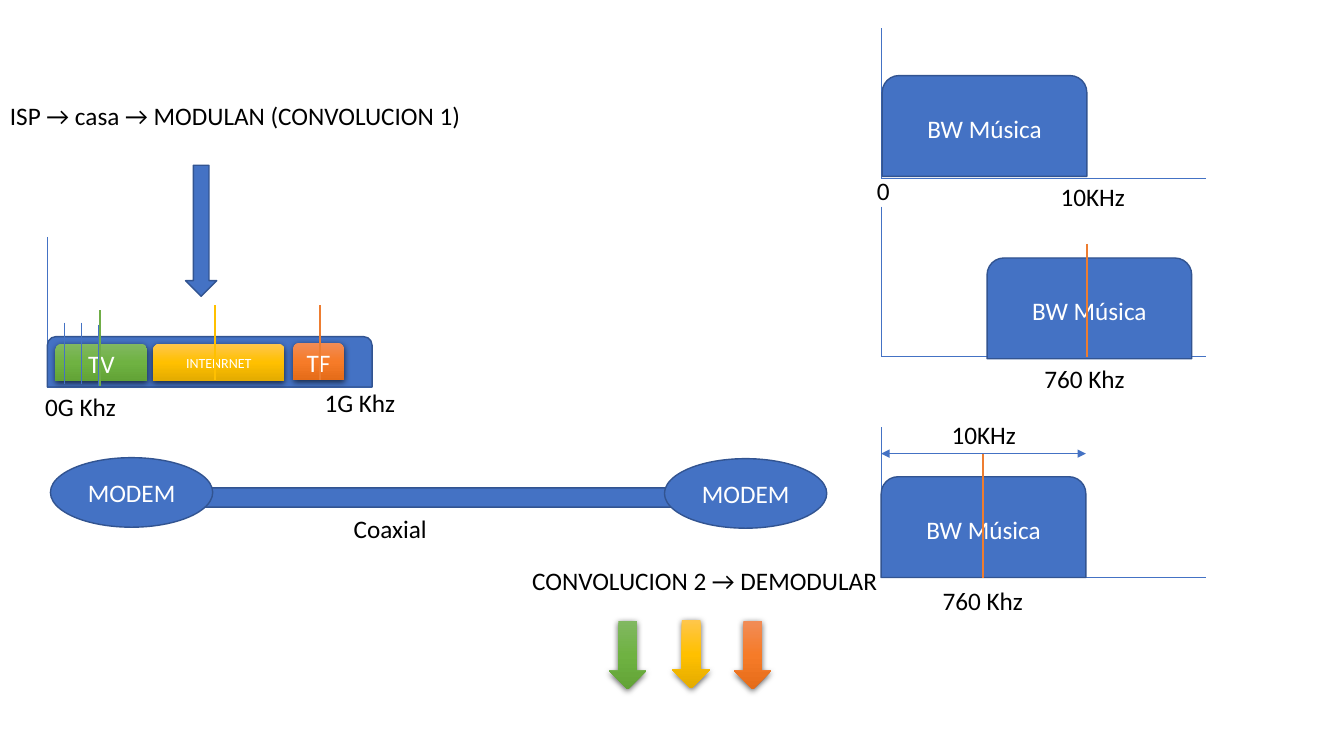
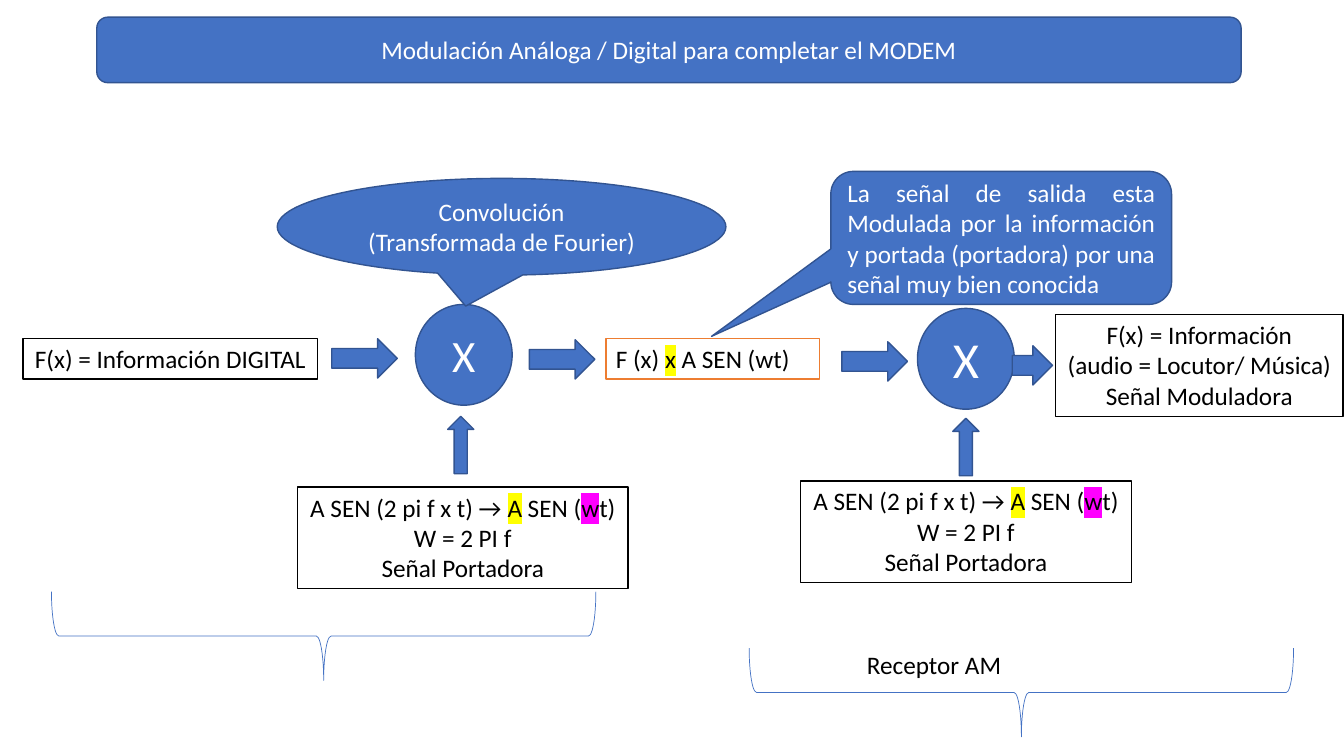
from copy import deepcopy
from dataclasses import dataclass

from lxml.etree import SubElement
from pptx import Presentation
from pptx.dml.color import RGBColor as Rgb
from pptx.enum.shapes import MSO_CONNECTOR as Link, MSO_SHAPE as Form
from pptx.enum.text import MSO_ANCHOR as Anchor, MSO_AUTO_SIZE as Auto, PP_ALIGN as Align
from pptx.oxml.ns import qn
from pptx.util import Inches, Pt


@dataclass(frozen=True)
class Theme:
    font: str = "Calibri"
    blue: str = "4472C4"
    navy: str = "325491"
    black: str = "000000"
    white: str = "FFFFFF"
    green: str = "70AD47"
    gold: str = "FFC000"
    orange: str = "ED7D31"
    yellow: str = "FFFF00"
    pink: str = "FF00FF"
    greens: tuple = ("81B861", "6FB242", "62A336")
    golds: tuple = ("FFC64B", "FFC000", "E3AB00")
    reds: tuple = ("F18C57", "F67B28", "E56C19")
    body: int = 18
    small: int = 10
    large: int = 32
    huge: int = 36
    thin: float = 0.5
    edge: float = 1
    thick: float = 1.5


def color(code):
    return Rgb.from_string(code)


def write(frame, text, *, font, size, ink, align=Align.LEFT, anchor=Anchor.TOP, wrap=True):
    frame.word_wrap = wrap
    frame.vertical_anchor = anchor
    for row, line in enumerate(text if isinstance(text, list) else [text]):
        para = frame.paragraphs[0] if row == 0 else frame.add_paragraph()
        para.alignment = align
        for part in line if isinstance(line, tuple) else (line,):
            words, mark = part if isinstance(part, list) else (part, None)
            run = para.add_run()
            run.text = words
            run.font.size = Pt(size)
            run.font.color.rgb = color(ink)
            if mark:
                light = SubElement(run.font._element, qn("a:highlight"))
                SubElement(light, qn("a:srgbClr"), val=mark)
            run.font.name = font


class Deck:
    def __init__(self, theme):
        self.theme = theme
        self.file = Presentation()
        self.file.slide_width = Inches(13.33)
        self.file.slide_height = Inches(7.5)
        self.slide = None

    def page(self):
        self.slide = self.file.slides.add_slide(self.file.slide_layouts[6])

    def shape(self, form, box, text=None, size=None, align=Align.CENTER, turn=0, bends=()):
        item = self.slide.shapes.add_shape(form, *map(Inches, box))
        item.shadow.inherit = False
        item.rotation = turn
        for spot, bend in enumerate(bends):
            item.adjustments[spot] = bend
        item.fill.solid()
        item.fill.fore_color.rgb = color(self.theme.blue)
        item.line.color.rgb = color(self.theme.navy)
        item.line.width = Pt(self.theme.edge)
        if text:
            write(item.text_frame, text, font=self.theme.font, size=size or self.theme.body,
                  ink=self.theme.white, align=align, anchor=Anchor.MIDDLE)
        return item

    def glow(self, form, box, shades, text=None, size=None):
        item = self.shape(form, box, text, size)
        item.line.fill.background()
        item.fill.gradient()
        item.fill.gradient_angle = 270
        props = item._element.spPr
        stops = props.find(".//" + qn("a:gsLst"))
        stops.append(deepcopy(stops[0]))
        for stop, shade, place in zip(item.fill.gradient_stops, shades, (0, 0.5, 1)):
            stop.color.rgb = color(shade)
            stop.position = place
        cast = SubElement(props.find(qn("a:effectLst")), qn("a:outerShdw"), blurRad=str(Pt(4.5)),
                          dist=str(Pt(1.5)), dir="5400000", algn="ctr", rotWithShape="0")
        tint = SubElement(cast, qn("a:srgbClr"), val=self.theme.black)
        SubElement(tint, qn("a:alpha"), val="63000")

    def brace(self, box):
        item = self.shape(Form.RIGHT_BRACE, box, turn=90)
        item.fill.background()
        item.line.color.rgb = color(self.theme.blue)
        item.line.width = Pt(self.theme.thin)

    def label(self, box, text, edge=None, align=Align.LEFT, wrap=False):
        item = self.slide.shapes.add_textbox(*map(Inches, box))
        write(item.text_frame, text, font=self.theme.font, size=self.theme.body,
              ink=self.theme.black, align=align, wrap=wrap)
        item.text_frame.auto_size = Auto.SHAPE_TO_FIT_TEXT
        if edge:
            item.fill.solid()
            item.fill.fore_color.rgb = color(self.theme.white)
            item.line.color.rgb = color(edge)
            item.line.width = Pt(self.theme.edge)

    def line(self, start, end, ink=None, width=None, heads=False):
        item = self.slide.shapes.add_connector(Link.STRAIGHT, *map(Inches, start + end))
        item.line.color.rgb = color(ink or self.theme.blue)
        item.line.width = Pt(width or self.theme.thin)
        if heads:
            stroke = item._element.spPr.find(qn("a:ln"))
            for tag in ("a:headEnd", "a:tailEnd"):
                SubElement(stroke, qn(tag), type="triangle")
        SubElement(item._element.spPr, qn("a:effectLst"))

    def axes(self, left, top):
        base = top + 1.49
        self.line((left, top), (left, base))
        self.line((left, base), (left + 3.22, base))


def bands(deck):
    theme = deck.theme
    deck.page()
    plots = [
        (0.28, (8.75, 0.75), (10.42, 1.75, 0.85, 0.4), "10KHz"),
        (2.05, (9.79, 2.56), (10.26, 3.56, 1.01, 0.4), "760 Khz"),
        (4.24, (8.74, 4.73), (9.25, 5.76, 1.01, 0.4), "760 Khz"),
    ]
    for top, spot, box, text in plots:
        deck.axes(8.74, top)
        deck.shape(Form.ROUND_2_SAME_RECTANGLE, spot + (2.03, 1), "BW Música")
        deck.label(box, text)
    deck.label((8.6, 1.69, 0.33, 0.4), "0")
    deck.label((9.34, 4.11, 0.85, 0.4), "10KHz")
    deck.line((8.74, 4.5), (10.77, 4.5), heads=True)

    deck.shape(Form.CAN, (4.17, 2.31, 0.19, 5.25), turn=90)
    deck.label((3.41, 5.04, 0.93, 0.4), "Coaxial")
    for spot in ((0.5, 4.54), (6.59, 4.55)):
        deck.shape(Form.OVAL, spot + (1.61, 0.69), "MODEM")

    deck.axes(0.47, 2.35)
    deck.label((3.12, 3.79, 0.91, 0.4), "1G Khz")
    deck.label((0.35, 3.83, 0.91, 0.4), "0G Khz")
    deck.shape(Form.ROUND_2_SAME_RECTANGLE, (0.47, 3.34, 3.22, 0.5))
    users = [
        (0.55, 3.41, 0.91, theme.greens, "TV", theme.body, 6.04, 6.16),
        (1.52, 3.41, 1.3, theme.golds, "INTENRNET", theme.small, 6.67, 6.15),
        (2.91, 3.4, 0.5, theme.reds, "TF", theme.body, 7.28, 6.16),
    ]
    for left, top, width, shades, text, size, side, drop in users:
        deck.glow(Form.ROUND_2_SAME_RECTANGLE, (left, top, width, 0.37), shades, text, size)
        deck.glow(Form.DOWN_ARROW, (side, drop, 0.37, 0.68), shades)

    tones = [
        (9.75, 4.5, 5.73, theme.orange),
        (10.78, 2.42, 3.54, theme.orange),
        (0.99, 3.08, 3.83, theme.green),
        (2.13, 3.03, 3.77, theme.gold),
        (3.17, 3.03, 3.77, theme.orange),
    ]
    for left, top, base, ink in tones:
        deck.line((left, top), (left, base), ink, theme.thick)
    for left, top in ((0.64, 3.2), (0.81, 3.2), (0.98, 3.22)):
        deck.line((left, top), (left, top + 0.61))

    deck.label((0, 0.95, 4.85, 0.4), "ISP → casa → MODULAN (CONVOLUCION 1)")
    deck.shape(Form.DOWN_ARROW, (1.84, 1.64, 0.31, 1.3))
    deck.label((5.18, 5.56, 3.68, 0.4), "CONVOLUCION 2 → DEMODULAR")


def modem(deck):
    theme = deck.theme
    deck.page()
    deck.shape(Form.ROUNDED_RECTANGLE, (0.96, 0.17, 11.35, 0.65),
               "Modulación Análoga / Digital para completar el MODEM")
    wave = [
        ("A SEN (2 pi f x t) → ", ["A", theme.yellow], " SEN (", ["w", theme.pink], "t)"),
        "W = 2 PI f",
        "Señal Portadora",
    ]
    mixers = [
        ((4.12, 3.02), theme.large, (4.44, 4.13), (2.95, 4.83), (2.77, 3.61)),
        ((9.1, 3.06), theme.huge, (9.45, 4.15), (7.94, 4.77), (9.69, 4.17)),
    ]
    for disc, size, rise, note, span in mixers:
        deck.shape(Form.OVAL, disc + (0.96, 1), "X", size)
        deck.shape(Form.UP_ARROW, rise + (0.26, 0.57))
        deck.label(note + (3.28, 1.01), wave, theme.black, Align.CENTER)
        deck.brace(span + (0.88, 5.4))

    deck.label((0.23, 3.36, 2.92, 0.4), "F(x) = Información DIGITAL", theme.black, Align.CENTER)
    deck.label((6.01, 3.36, 2.12, 0.4), [("F (x) ", ["x", theme.yellow], " A SEN (wt)")],
               theme.orange, wrap=True)
    deck.label((10.47, 3.12, 2.85, 1.01),
               ["F(x) = Información", "(audio = Locutor/ Música)", "Señal Moduladora"],
               theme.black, Align.CENTER)
    steps = ((3.29, 3.36, 0.65), (5.25, 3.37, 0.65), (8.35, 3.39, 0.65), (10.04, 3.43, 0.4))
    for step in steps:
        deck.shape(Form.RIGHT_ARROW, step + (0.39,))

    deck.shape(Form.ROUNDED_RECTANGULAR_CALLOUT, (8.24, 1.7, 3.38, 1.32),
               "La señal de salida esta Modulada por la información y portada "
               "(portadora) por una señal muy bien conocida",
               align=Align.JUSTIFY, bends=(-0.85, 0.74, 0.17))
    deck.shape(Form.OVAL_CALLOUT, (2.75, 1.77, 4.45, 0.96),
               ["Convolución", "(Transformada de Fourier)"], bends=(-0.08, 0.82))
    deck.label((8.5, 6.39, 1.55, 0.4), "Receptor AM")


def main():
    deck = Deck(Theme())
    bands(deck)
    modem(deck)
    deck.file.save("out.pptx")


if __name__ == "__main__":
    main()
